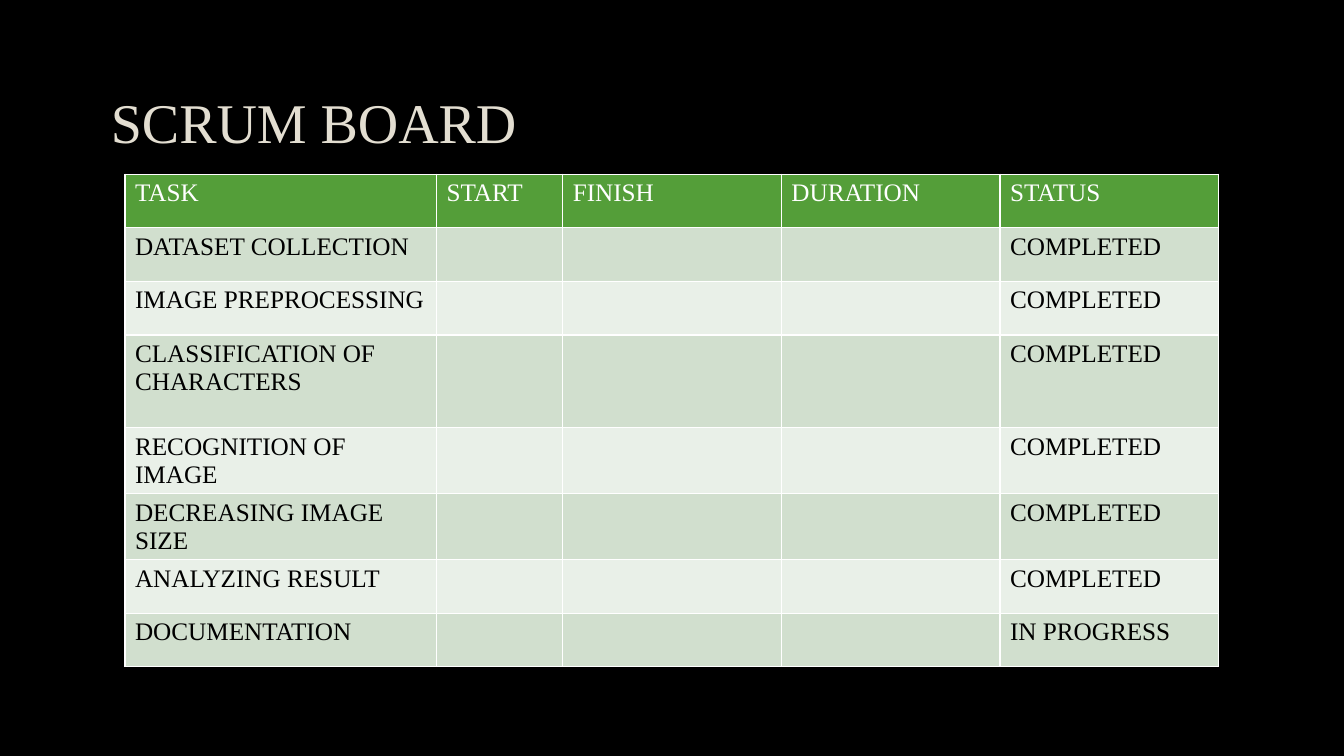
from lxml.etree import SubElement
from pptx import Presentation
from pptx.dml.color import RGBColor
from pptx.enum.text import MSO_ANCHOR, MSO_AUTO_SIZE, PP_ALIGN
from pptx.oxml.ns import qn
from pptx.util import Cm, Pt

FONT = "Times New Roman"
COLORS = {
    "background": "000000",
    "title": "E3DED1",
    "header": "549E39",
    "header_text": "FFFFFF",
    "odd_row": "D1DFCE",
    "even_row": "E9F0E8",
    "body_text": "000000",
    "border": "FFFFFF",
}
HEADINGS = ["TASK", "START", "FINISH", "DURATION", "STATUS"]
TASKS = [
    ("DATASET COLLECTION", "COMPLETED"),
    ("IMAGE PREPROCESSING", "COMPLETED"),
    ("CLASSIFICATION OF CHARACTERS", "COMPLETED"),
    ("RECOGNITION OF IMAGE", "COMPLETED"),
    ("DECREASING IMAGE SIZE", "COMPLETED"),
    ("ANALYZING RESULT", "COMPLETED"),
    ("DOCUMENTATION", "IN PROGRESS"),
]
COLUMN_WIDTHS = [7.85, 3.18, 5.51, 5.51, 5.51]
ROW_HEIGHT = 1.35
TALL_ROWS = {3: 2.34}


def color(name):
    return RGBColor.from_string(COLORS[name])


def style_font(para, size, color_name):
    para.font.name = FONT
    para.font.size = Pt(size)
    para.font.bold = False
    para.font.color.rgb = color(color_name)


def add_title(page, left, top, width, height):
    title = page.shapes.title
    title.left, title.top = Cm(left), Cm(top)
    title.width, title.height = Cm(width), Cm(height)
    frame = title.text_frame
    frame.text = "SCRUM BOARD"
    frame.auto_size = MSO_AUTO_SIZE.NONE
    frame.vertical_anchor = MSO_ANCHOR.MIDDLE
    para = frame.paragraphs[0]
    para.alignment = PP_ALIGN.LEFT
    style_font(para, 40, "title")


def add_borders(cell):
    properties = cell._tc.get_or_add_tcPr()
    for position, side in enumerate(("lnL", "lnR", "lnT", "lnB")):
        line = SubElement(properties, qn(f"a:{side}"), w=str(Pt(1)))
        fill = SubElement(line, qn("a:solidFill"))
        SubElement(fill, qn("a:srgbClr"), val=COLORS["border"])
        properties.insert(position, line)  # borders precede the cell fill


def fill_cell(cell, text, fill_name, text_color):
    cell.text = text
    style_font(cell.text_frame.paragraphs[0], 18, text_color)
    cell.fill.solid()
    cell.fill.fore_color.rgb = color(fill_name)
    add_borders(cell)


def add_task_table(page, left, top):
    rows = [HEADINGS] + [[task, "", "", "", status] for task, status in TASKS]
    heights = [TALL_ROWS.get(index, ROW_HEIGHT) for index in range(len(rows))]
    table = page.shapes.add_table(
        len(rows), len(HEADINGS), Cm(left), Cm(top),
        Cm(sum(COLUMN_WIDTHS)), Cm(sum(heights)),
    ).table
    for column, width in zip(table.columns, COLUMN_WIDTHS):
        column.width = Cm(width)
    for index, texts in enumerate(rows):
        table.rows[index].height = Cm(heights[index])
        if index == 0:
            fill_name, text_color = "header", "header_text"
        else:
            fill_name = "odd_row" if index % 2 else "even_row"
            text_color = "body_text"
        for cell, text in zip(table.rows[index].cells, texts):
            fill_cell(cell, text, fill_name, text_color)


def main():
    deck = Presentation()
    deck.slide_width, deck.slide_height = Cm(33.87), Cm(19.05)
    page = deck.slides.add_slide(deck.slide_layouts.get_by_name("Title Only"))
    page.background.fill.solid()
    page.background.fill.fore_color.rgb = color("background")
    add_title(page, 2.54, 1.7, 28.75, 2.69)
    add_task_table(page, 3.15, 4.39)
    deck.save("out.pptx")


if __name__ == "__main__":
    main()
